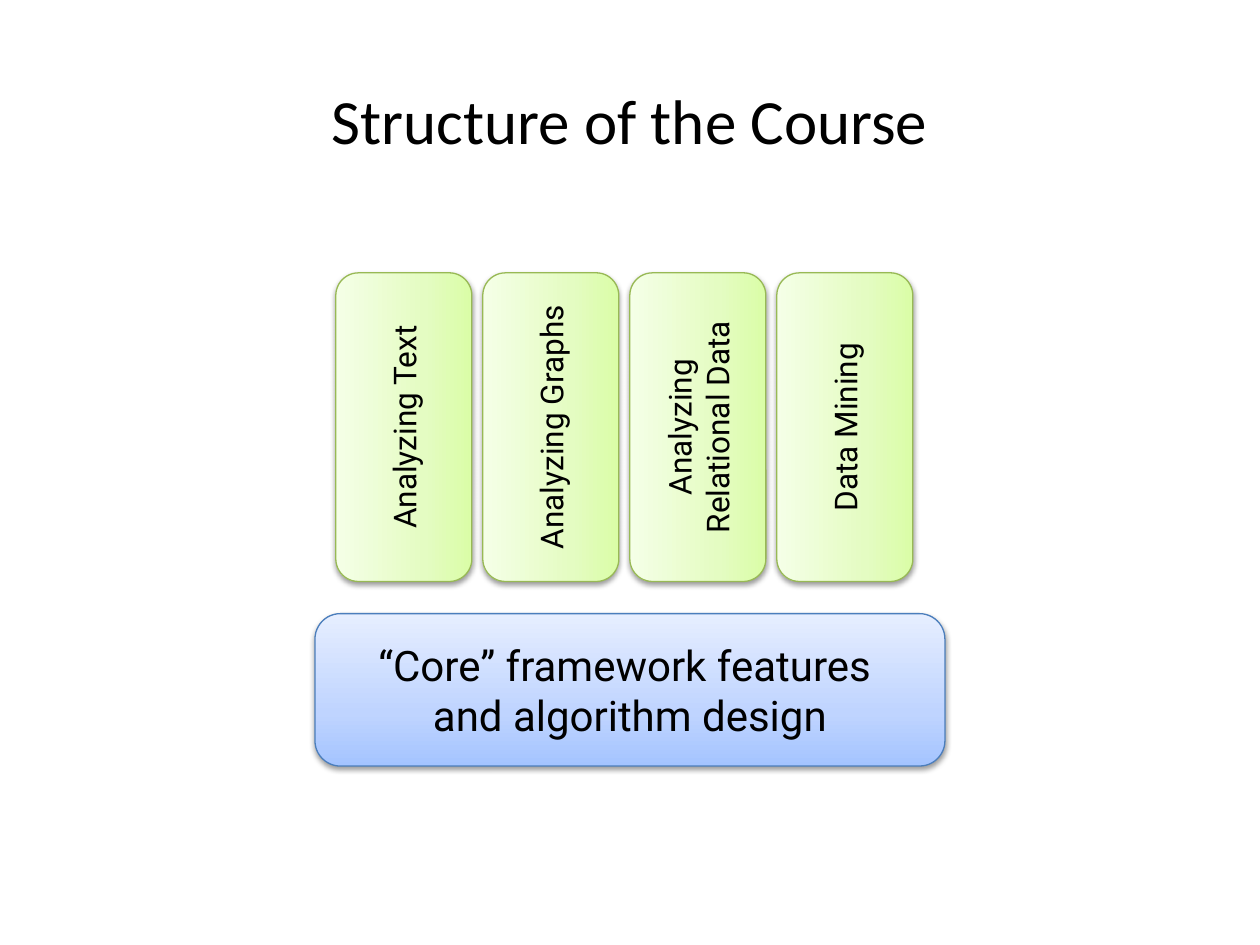
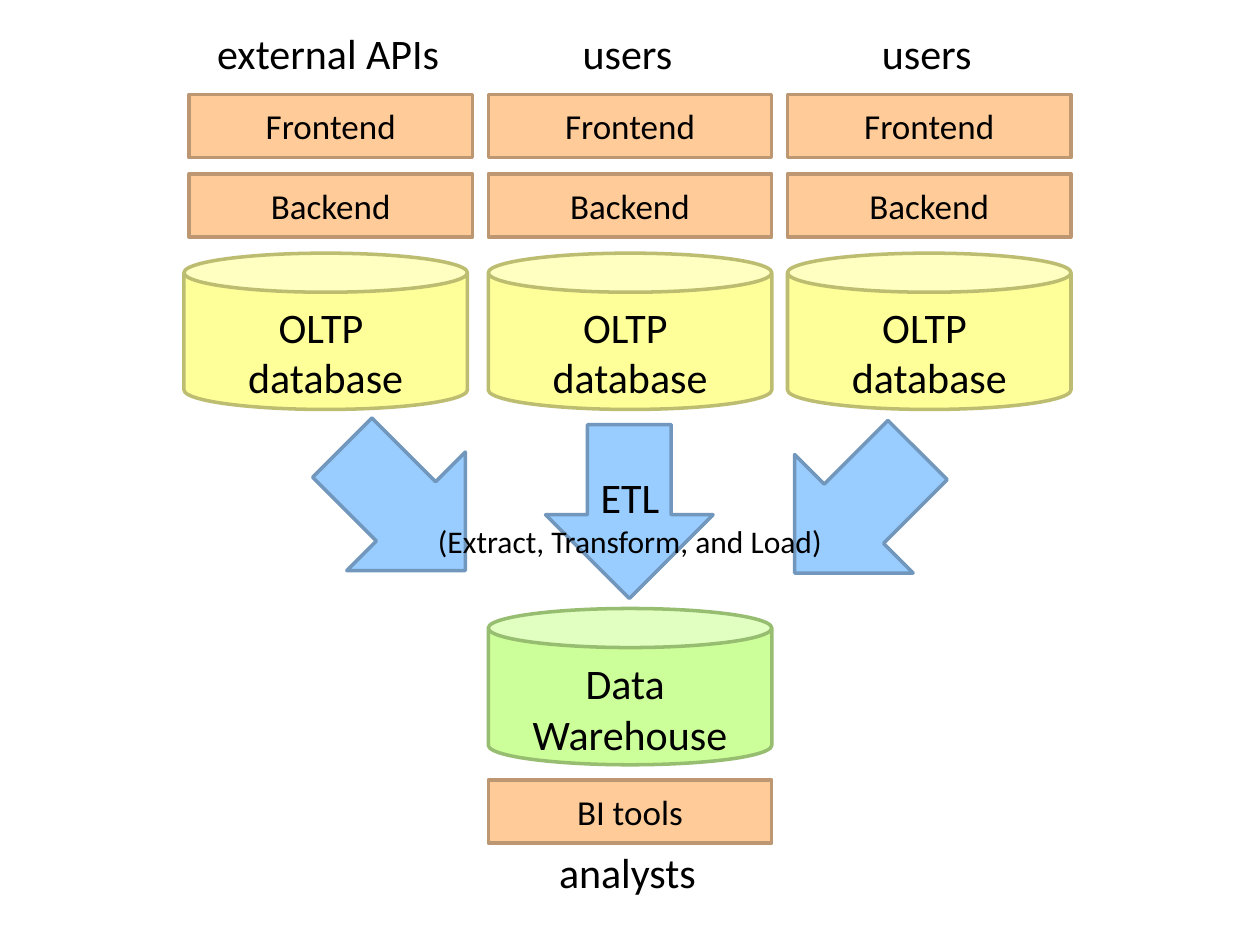
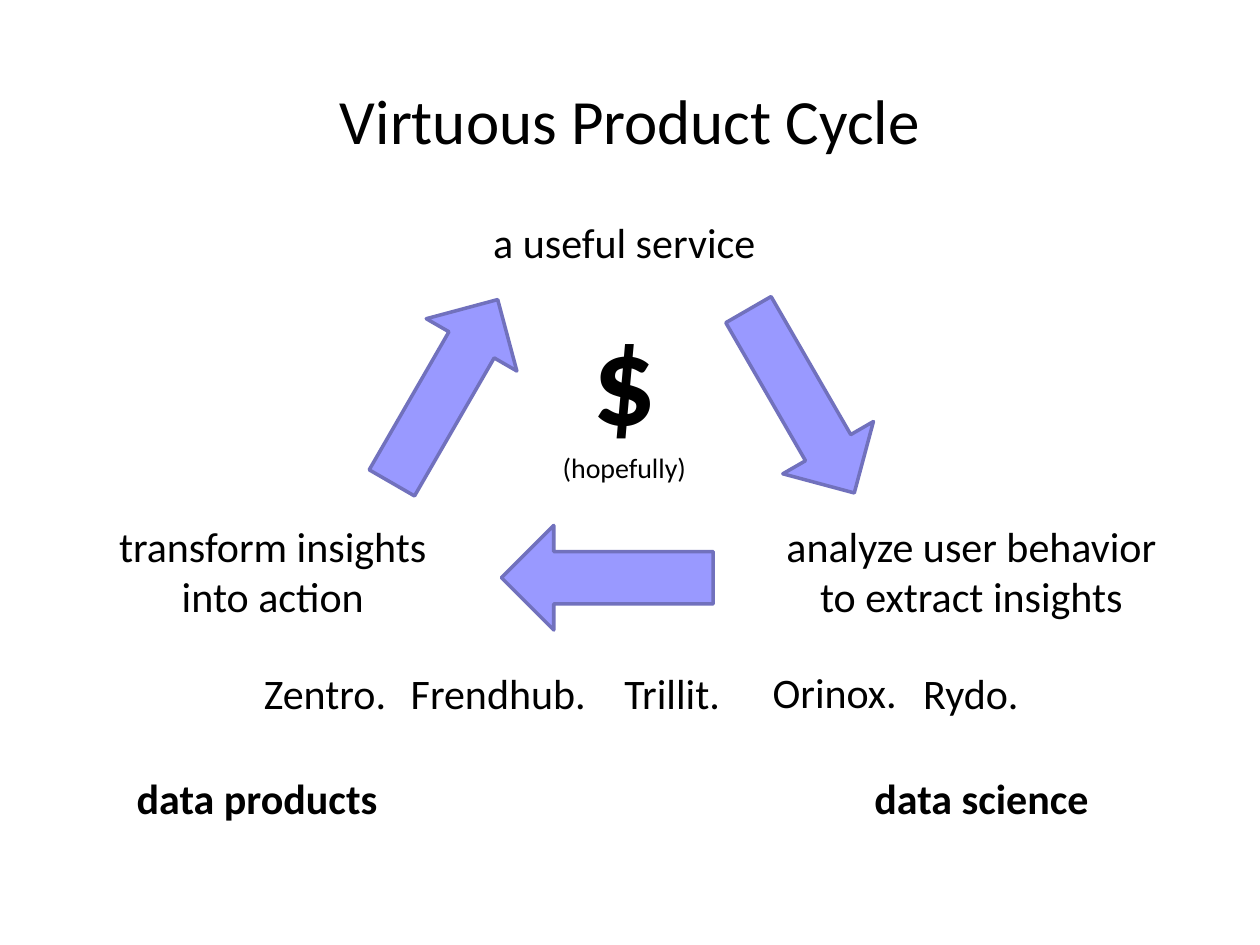
from pptx import Presentation
from pptx.dml.color import RGBColor
from pptx.enum.shapes import MSO_SHAPE
from pptx.enum.text import PP_ALIGN
from pptx.oxml import parse_xml
from pptx.oxml.ns import nsdecls
from pptx.util import Inches, Pt

# Shared look: page size, fonts, (fill, line) pairs
WIDE, HIGH = 10, 7.5
SANS, ROBO = "Calibri", "Roboto"
ORANGE = ("FFCC99", "BD9771")
YELLOW = ("FFFF99", "BDBD71")
GREEN = ("CCFF99", "97BD71")
SKY = ("99CCFF", "7197BD")
VIOLET = ("9999FF", "7171BD")
BASE = (("A4C4FF", "BFD4FF", "E6EEFF"), "4B7EBC")
LIME = (("DAFDA7", "E4FCC2", "F5FFE7"), "98B955")
STOPS = (0, 35, 100)

# Course structure
TOPICS = ["Analyzing Text", "Analyzing Graphs",
          "Analyzing Relational Data", "Data Mining"]
CORE = "“Core” framework features \nand algorithm design"

# Data flow: user, database shift, arrow left, arrow top, arrow turn
STACKS = [("external APIs", -0.04, 2.54, 3.35, 315),
          ("users", 0, 4.33, 3.37, 0),
          ("users", 0, 6.13, 3.37, 45)]
TIERS = [("Frontend", 0.75), ("Backend", 1.38)]

# Product cycle: text, box; arrows: left, top, turn
STEPS = [("a useful service", (3.58, 1.67, 2.75, 0.5)),
         ("analyze user behavior to extract insights", (6, 4.08, 3.42, 0.91)),
         ("transform insights into action", (0.83, 4.08, 2.67, 0.91))]
TURNS = [(5.52, 2.77, 60), (2.69, 2.69, 300), (3.98, 4.17, 180)]
FIRMS = [("Zentro.", 1.83, 5.25, 1.5), ("Frendhub.", 3.08, 5.25, 1.75),
         ("Trillit.", 4.67, 5.25, 1.33), ("Orinox.", 5.75, 5.24, 1.75),
         ("Rydo.", 6.83, 5.25, 1.75)]
FIELDS = [("data science", 6.08), ("data products", 0.33)]


def color(code):
    return RGBColor.from_string(code)


def write(shape, text, size, face=SANS, bold=False):
    frame = shape.text_frame
    frame.word_wrap = True
    para = frame.paragraphs[0]
    para.text = text
    para.alignment = PP_ALIGN.CENTER
    font = para.font
    font.name, font.size, font.bold = face, Pt(size), bold
    font.color.rgb = color("000000")
    return para


def label(slide, text, box, size=24, bold=False):
    area = slide.shapes.add_textbox(*map(Inches, box))
    return write(area, text, size, bold=bold)


def title(slide, text):
    label(slide, text, (0, 0.6, WIDE, 0.75), 36)


def stacked(slide, box, top, low):
    """Two lines of text, each (words, size, bold)."""
    para = label(slide, "", box)
    for words, size, bold in (top, low):
        if para.runs:
            para.add_line_break()
        run = para.add_run()
        run.text = words
        run.font.size, run.font.bold = Pt(size), bold


def draw(slide, kind, box, look, turn=0, weight=2):
    shape = slide.shapes.add_shape(kind, *map(Inches, box))
    fill, line = look
    shape.rotation = turn
    shape.shadow.inherit = False
    shape.line.color.rgb = color(line)
    shape.line.width = Pt(weight)
    if isinstance(fill, str):
        shape.fill.solid()
        shape.fill.fore_color.rgb = color(fill)
    return shape


def glossy(slide, box, look, text, size, turn=0):
    """Rounded box with a three-stop gradient and a soft shadow below."""
    shape = draw(slide, MSO_SHAPE.ROUNDED_RECTANGLE, box, look, turn, 0.75)
    stops = "".join(
        f'<a:gs pos="{pos * 1000}"><a:srgbClr val="{code}"/></a:gs>'
        for pos, code in zip(STOPS, look[0]))
    props = shape._element.spPr
    props.insert(2, parse_xml(
        f'<a:gradFill {nsdecls("a")} rotWithShape="1"><a:gsLst>{stops}</a:gsLst>'
        '<a:lin ang="16200000" scaled="0"/></a:gradFill>'))
    props.effectLst.append(parse_xml(
        f'<a:outerShdw {nsdecls("a")} blurRad="40000" dist="20000" '
        'dir="5400000" rotWithShape="0"><a:srgbClr val="000000">'
        '<a:alpha val="38000"/></a:srgbClr></a:outerShdw>'))
    write(shape, text, size, ROBO)


def course(slide):
    title(slide, "Structure of the Course")
    glossy(slide, (WIDE / 4, 4.87, WIDE / 2, 1.21), BASE, CORE, 24)
    for i, topic in enumerate(TOPICS):
        glossy(slide, (1.98 + i * 3.5 / 3, 2.85, 2.45, 1.08), LIME,
               topic, 18, 270)


def flow(slide):
    wide, edge = 2.25, 1.5
    step = (WIDE - 2 * edge - wide) / 2
    mid = edge + step

    def block(text, x, y):
        write(draw(slide, MSO_SHAPE.RECTANGLE, (x, y, wide, 0.5), ORANGE),
              text, 20)

    def store(text, x, y, drop, look):
        draw(slide, MSO_SHAPE.CAN, (x, y, wide, 1.24), look)
        label(slide, text, (x, y + drop, wide, 0.91))

    # Three source stacks
    for i, (who, shift, left, top, turn) in enumerate(STACKS):
        x = edge + i * step
        label(slide, who, (x, 0.17, 2.21, 0.5))
        for tier, y in TIERS:
            block(tier, x, y)
        store("OLTP \ndatabase", x + shift, 2.01, 0.33, YELLOW)
        draw(slide, MSO_SHAPE.DOWN_ARROW, (left, top, 1.33, 1.38), SKY, turn)

    # Load step, warehouse and its readers
    stacked(slide, (3, 3.69, 4, 0.81), ("ETL", 24, False),
            ("(Extract, Transform, and Load)", 18, False))
    store("Data \nWarehouse", mid, 4.83, 0.34, GREEN)
    block("BI tools", mid, 6.19)
    label(slide, "analysts", (mid, 6.67, 2.21, 0.5))


def cycle(slide):
    title(slide, "Virtuous Product Cycle")
    for text, box in STEPS:
        label(slide, text, box)
    for x, y, turn in TURNS:
        draw(slide, MSO_SHAPE.RIGHT_ARROW, (x, y, 1.68, 0.83), VIOLET, turn)
    stacked(slide, (3.58, 2.33, 2.75, 1.58), ("$", 72, True),
            ("(hopefully)", 16, False))
    for firm, x, y, wide in FIRMS:
        label(slide, firm, (x, y, wide, 0.5))
    for field, x in FIELDS:
        label(slide, field, (x, 6.08, 3.42, 0.5), bold=True)


def main():
    deck = Presentation()
    deck.slide_width, deck.slide_height = Inches(WIDE), Inches(HIGH)
    for fill in (course, flow, cycle):
        fill(deck.slides.add_slide(deck.slide_layouts[6]))
    deck.save("out.pptx")


if __name__ == "__main__":
    main()
